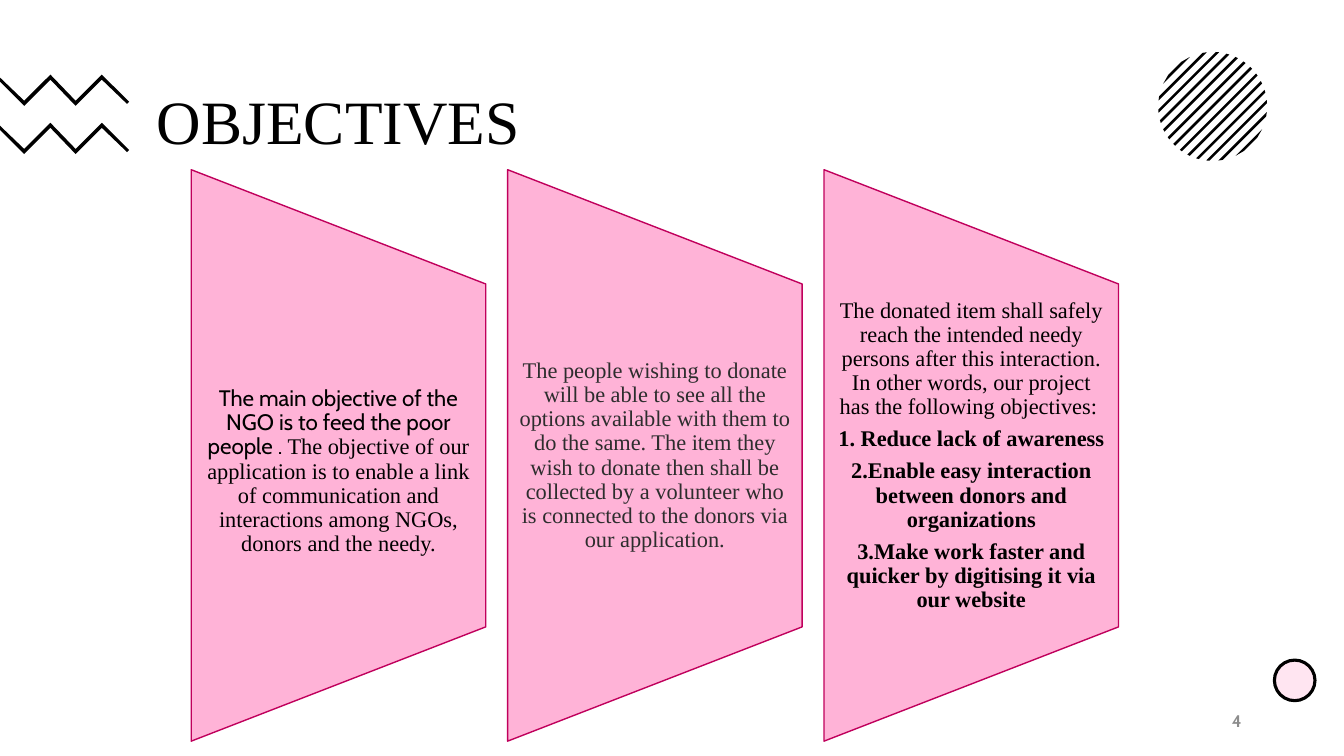
"""Build the Objectives slide: three tapered cards with line-art decorations."""
from math import sqrt

from lxml.etree import SubElement
from pptx import Presentation
from pptx.dml.color import RGBColor
from pptx.enum.shapes import MSO_SHAPE as SHAPE
from pptx.enum.text import MSO_ANCHOR as ANCHOR, PP_ALIGN as ALIGN
from pptx.oxml.ns import qn
from pptx.util import Pt

BLACK = RGBColor(0x00, 0x00, 0x00)
CHARCOAL = RGBColor(0x2D, 0x2D, 0x2D)
GRAY = RGBColor(0x8C, 0x8C, 0x8C)
PINK = RGBColor(0xFF, 0xB3, 0xD7)
ROSE = RGBColor(0xFF, 0x80, 0xBD)
CRIMSON = RGBColor(0xC0, 0x00, 0x5C)
SERIF, SANS = "Times New Roman", "Cabin"

prs = Presentation()
prs.slide_width, prs.slide_height = Pt(960), Pt(540)
s = prs.slides.add_slide(prs.slide_layouts[6])


def add_outline(points):
    corners = [(Pt(x), Pt(y)) for x, y in points]
    builder = s.shapes.build_freeform(*corners[0])
    builder.add_line_segments(corners[1:], close=True)
    sp = builder.convert_to_shape()
    sp.shadow.inherit = False
    sp.fill.solid()
    sp.fill.fore_color.rgb = BLACK
    sp.line.fill.background()


def add_text(x, y, w, h, paragraphs, size, color, align, spacing=0.9, after=0):
    tf = s.shapes.add_textbox(Pt(x), Pt(y), Pt(w), Pt(h)).text_frame
    tf.word_wrap = True
    tf.vertical_anchor = ANCHOR.MIDDLE
    for i, runs in enumerate(paragraphs):
        p = tf.paragraphs[0] if i == 0 else tf.add_paragraph()
        p.alignment, p.line_spacing, p.space_after = align, spacing, Pt(after)
        p.font.size = Pt(size)
        p.font.color.rgb = color
        for text, font, bold in runs:
            r = p.add_run()
            r.text, r.font.name, r.font.bold = text, font, bold
    return tf


disc_x, disc_y, radius = 866.2, 76, 38.9
pitch, half_band = 8.82, 1.3
for k in range(-6, 7):
    corners = []
    for offset, sides in ((k * pitch - half_band, (-1, 1)),
                          (k * pitch + half_band, (1, -1))):
        reach = sqrt(radius ** 2 - offset ** 2 / 2) / sqrt(2)
        corners += [(disc_x + offset / 2 + side * reach,
                     disc_y + offset / 2 - side * reach) for side in sides]
    add_outline(corners)

zigzag = [(36, 53.3), (54, 72), (72.7, 53.3), (92.2, 72.7), (90.7, 74.2),
          (72.7, 56.9), (54, 75.6), (36, 56.9), (17.3, 75.6), (0, 58.3),
          (0, 55.4), (17.3, 72)]
for drop in (0, 34.4):
    add_outline([(x, y + drop) for x, y in zigzag])

dot = s.shapes.add_shape(SHAPE.OVAL, Pt(910.3), Pt(471.5), Pt(29), Pt(29))
dot.shadow.inherit = False
dot.fill.solid()
dot.fill.fore_color.rgb = ROSE
SubElement(dot.fill._xPr.find(".//" + qn("a:srgbClr")), qn("a:alpha"), val="20000")
dot.line.color.rgb = BLACK
dot.line.width = Pt(2.25)

add_text(105, 44.5, 767.5, 88.5, [[("OBJECTIVES", SERIF, False)]],
         44, BLACK, ALIGN.LEFT)
tf = add_text(678, 500.5, 216, 28.8, [[("4", SANS, True)]],
              12, GRAY, ALIGN.RIGHT, spacing=1)
tf.paragraphs[0].runs[0].font._element.set("spc", "100")

cards = [
    (BLACK, 23, [[
        ("The main objective of the NGO is to feed the poor people . ", SANS, False),
        ("The objective of our application is to enable a link of communication "
         "and interactions among NGOs, donors and the needy.", SERIF, False)]]),
    (CHARCOAL, 0, [[
        ("The people wishing to donate will be able to see all the options "
         "available with them to do the same. The item they wish to donate then "
         "shall be collected by a volunteer who is connected to the donors via "
         "our application.", SERIF, False)]]),
    (BLACK, 0, [
        [("The donated item shall safely reach the intended needy persons after "
          "this interaction. In other words, our project has the following "
          "objectives: ", SERIF, False)],
        [("1. Reduce lack of awareness", SERIF, True)],
        [("2.Enable easy interaction between donors and organizations", SERIF, True)],
        [("3.Make work faster and quicker by digitising it via our website",
          SERIF, True)]]),
]
card_w, card_h, card_mid = 210.4, 408.2, 325.3
for i, (color, top_inset, paragraphs) in enumerate(cards):
    x = 136.6 + i * 226
    sp = s.shapes.add_shape(SHAPE.FLOWCHART_MANUAL_OPERATION,
                            Pt(x + (card_w - card_h) / 2), Pt(card_mid - card_w / 2),
                            Pt(card_h), Pt(card_w))
    sp.rotation = 270
    sp.shadow.inherit = False
    sp.fill.solid()
    sp.fill.fore_color.rgb = PINK
    sp.line.color.rgb = CRIMSON
    sp.line.width = Pt(1)
    tf = add_text(x, 203, card_w, 245, paragraphs, 16, color, ALIGN.CENTER, after=5.6)
    tf.margin_left = tf.margin_right = Pt(8)
    tf.margin_top, tf.margin_bottom = Pt(top_inset), 0

prs.save("out.pptx")
